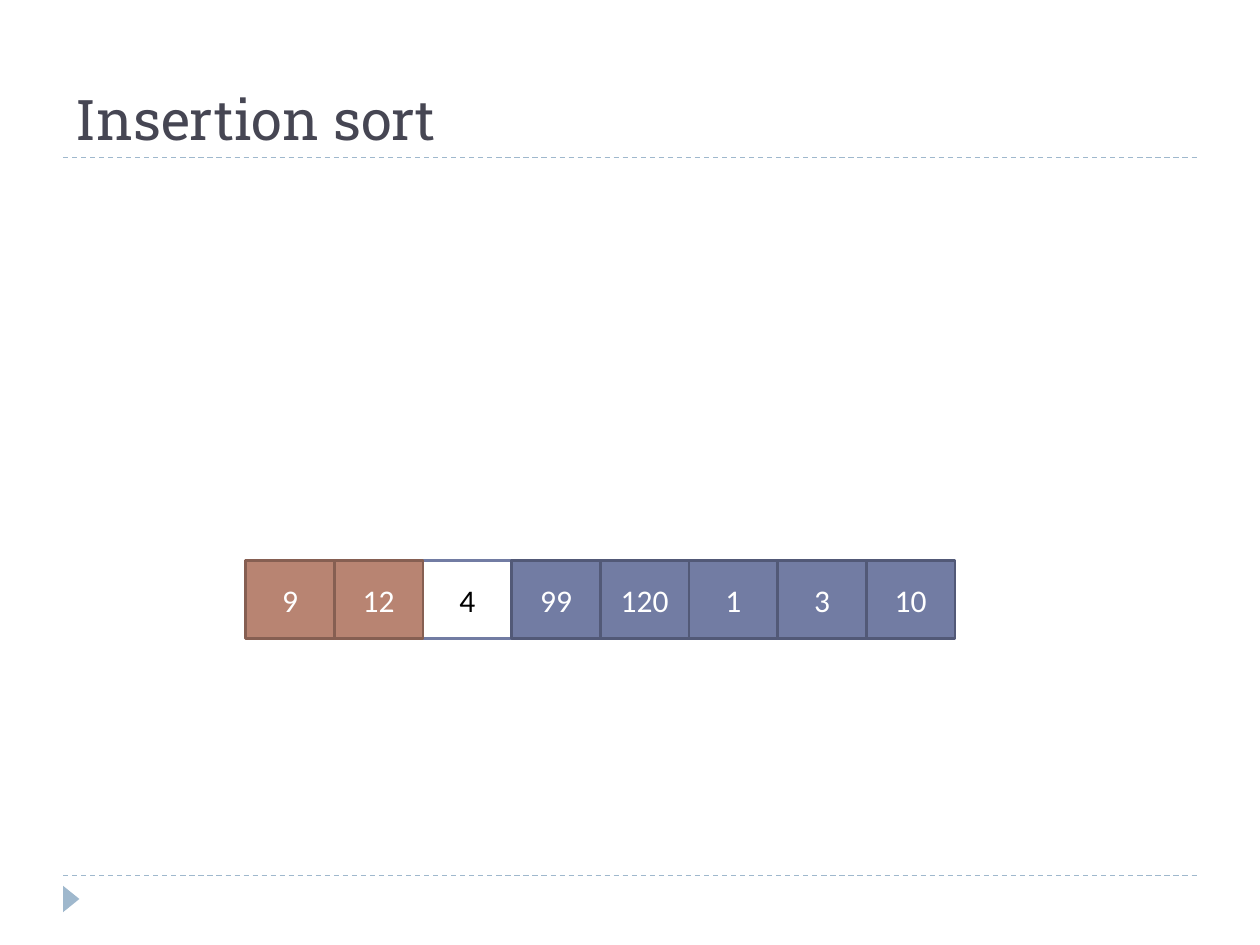
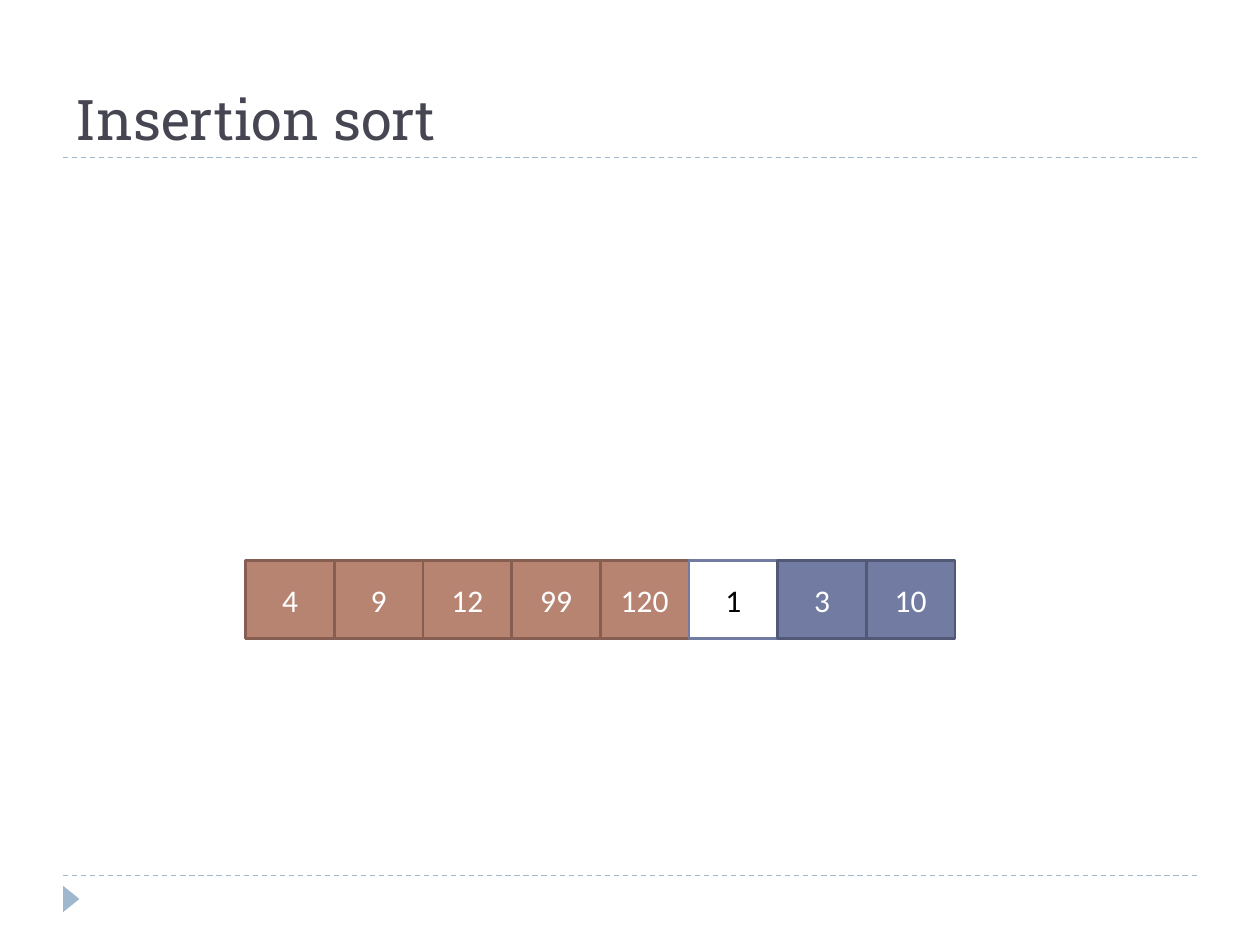
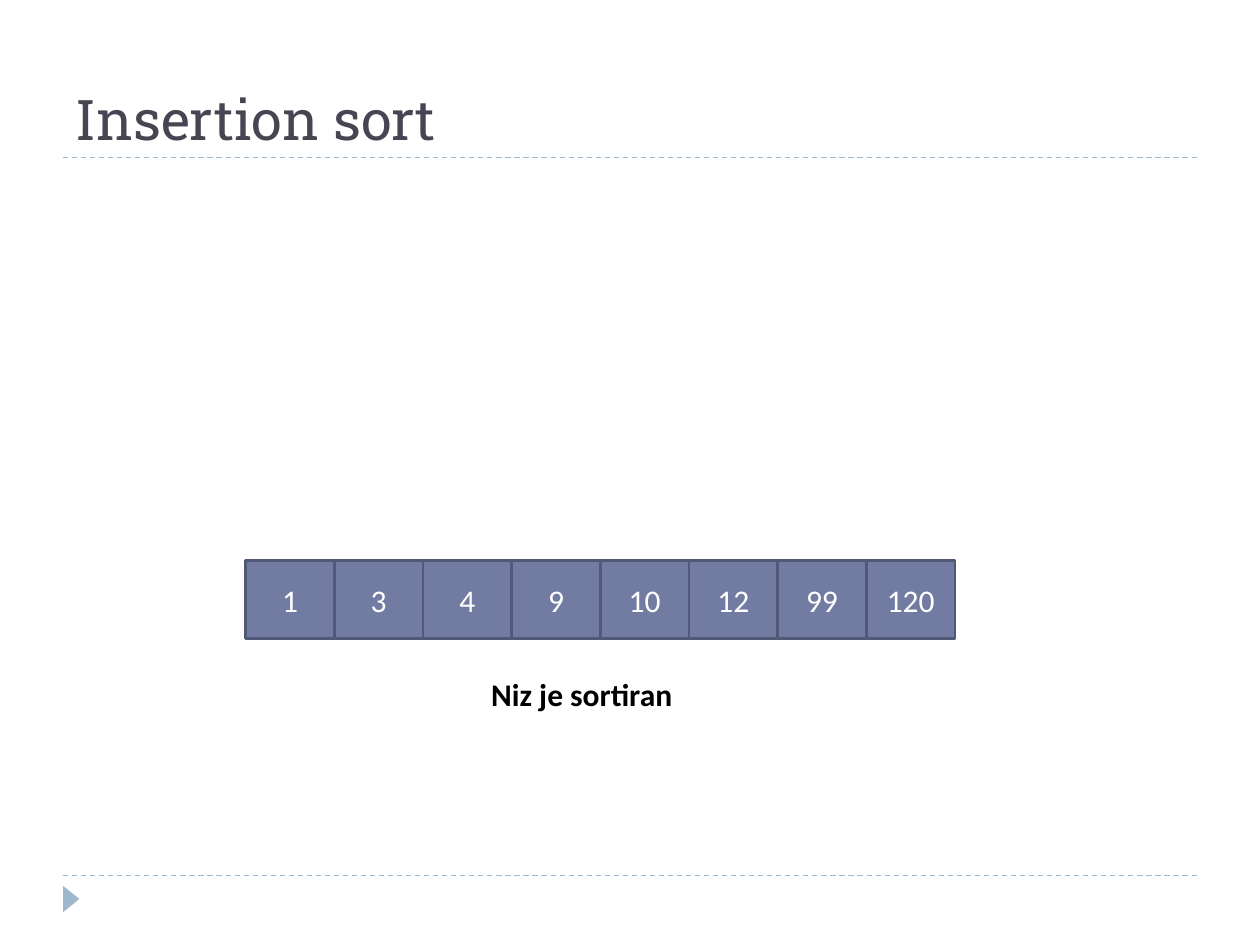
from lxml.etree import SubElement
from pptx import Presentation
from pptx.dml.color import RGBColor
from pptx.enum.dml import MSO_LINE
from pptx.enum.shapes import MSO_CONNECTOR, MSO_SHAPE
from pptx.enum.text import MSO_ANCHOR, PP_ALIGN
from pptx.oxml.ns import qn
from pptx.util import Inches, Pt

WHITE = RGBColor(0xFF, 0xFF, 0xFF)
BLACK = RGBColor(0x00, 0x00, 0x00)
TITLE = RGBColor(0x46, 0x46, 0x53)
RULE = RGBColor(0x9F, 0xB8, 0xCD)
BLUE = RGBColor(0x72, 0x7C, 0xA3)
DARK_BLUE = RGBColor(0x52, 0x59, 0x77)
BROWN = RGBColor(0xB8, 0x84, 0x72)
DARK_BROWN = RGBColor(0x86, 0x5F, 0x52)

SORTED = (BROWN, DARK_BROWN, WHITE)
CURRENT = (WHITE, BLUE, BLACK)
PLAIN = (BLUE, DARK_BLUE, WHITE)

HEADING = "Insertion sort"
START_ORDER = [9, 4, 12, 99, 120, 10, 1, 3]
STEPS = [
    {"values": [9, 12, 4, 99, 120, 1, 3, 10], "current": 2},
    {"values": [4, 9, 12, 99, 120, 1, 3, 10], "current": 5},
    {"values": [1, 3, 4, 9, 10, 12, 99, 120], "note": "Niz je sortiran"},
]

ROW_LEFT, ROW_TOP = 1.95, 4.45
ROW_WIDTH, CELL_HEIGHT = 5.63, 0.62
RULE_TOPS = (6.95, 1.25)


def write(sp, text, size=18, font="Calibri", color=BLACK, bold=False,
          align=PP_ALIGN.LEFT, anchor=MSO_ANCHOR.TOP):
    tf = sp.text_frame
    tf.word_wrap = True
    tf.vertical_anchor = anchor
    p = tf.paragraphs[0]
    p.alignment = align
    r = p.add_run()
    r.text = text
    r.font.size = Pt(size)
    r.font.name = font
    r.font.bold = bold
    r.font.color.rgb = color


def add_box(slide, left, top, width, height):
    return slide.shapes.add_textbox(
        Inches(left), Inches(top), Inches(width), Inches(height))


def add_filled(slide, kind, left, top, width, height, fill):
    sp = slide.shapes.add_shape(
        kind, Inches(left), Inches(top), Inches(width), Inches(height))
    sp.shadow.inherit = False
    sp.fill.solid()
    sp.fill.fore_color.rgb = fill
    return sp


def add_frame(slide):
    for y in RULE_TOPS:
        line = slide.shapes.add_connector(
            MSO_CONNECTOR.STRAIGHT, Inches(0.5), Inches(y), Inches(9.5), Inches(y))
        line.line.color.rgb = RULE
        line.line.width = Pt(0.75)
        line.line.dash_style = MSO_LINE.DASH
        SubElement(line._element.spPr, qn("a:effectLst"))
    marker = add_filled(slide, MSO_SHAPE.ISOSCELES_TRIANGLE, 0.46, 7.07, 0.21, 0.13, RULE)
    marker.line.fill.background()
    marker.rotation = 90
    write(add_box(slide, 0.5, 0.17, 9, 1.08), HEADING, size=32,
          font="Roboto Slab", color=TITLE, anchor=MSO_ANCHOR.BOTTOM)


def cell_style(index, current):
    if current is None or index > current:
        return PLAIN
    return CURRENT if index == current else SORTED


def add_array(slide, values, current):
    width = ROW_WIDTH / len(values)
    for value in START_ORDER:
        i = values.index(value)
        fill, border, color = cell_style(i, current)
        sp = add_filled(slide, MSO_SHAPE.RECTANGLE, ROW_LEFT + i * width,
                        ROW_TOP, width, CELL_HEIGHT, fill)
        sp.line.color.rgb = border
        sp.line.width = Pt(1.5)
        write(sp, str(value), color=color, align=PP_ALIGN.CENTER,
              anchor=MSO_ANCHOR.MIDDLE)


def main():
    prs = Presentation()
    prs.slide_width, prs.slide_height = Inches(10), Inches(7.5)
    for step in STEPS:
        slide = prs.slides.add_slide(prs.slide_layouts[6])
        add_frame(slide)
        add_array(slide, step["values"], step.get("current"))
        if "note" in step:
            write(add_box(slide, 3.8, 5.31, 1.96, 0.4), step["note"], bold=True)
    prs.save("out.pptx")


if __name__ == "__main__":
    main()
